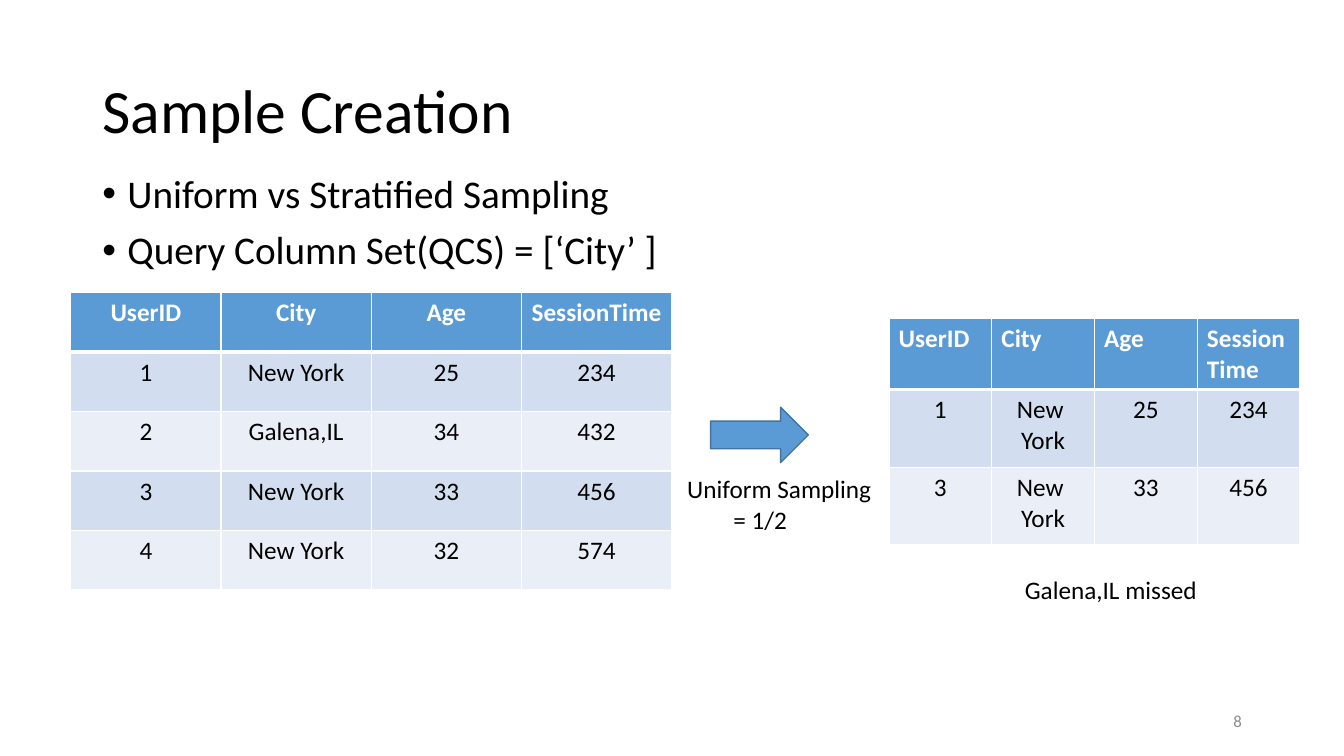
from dataclasses import dataclass, field

from lxml import etree
from pptx import Presentation
from pptx.dml.color import RGBColor
from pptx.enum.shapes import MSO_SHAPE
from pptx.enum.text import MSO_ANCHOR, MSO_AUTO_SIZE, PP_ALIGN
from pptx.oxml.ns import qn
from pptx.slide import Slide
from pptx.table import _Cell
from pptx.text.text import TextFrame, _Paragraph
from pptx.util import Pt

ARROW = MSO_SHAPE.RIGHT_ARROW
TOP, MIDDLE = MSO_ANCHOR.TOP, MSO_ANCHOR.MIDDLE
GROW, FIXED = MSO_AUTO_SIZE.SHAPE_TO_FIT_TEXT, MSO_AUTO_SIZE.NONE
LEFT, CENTER, RIGHT = PP_ALIGN.LEFT, PP_ALIGN.CENTER, PP_ALIGN.RIGHT


@dataclass(frozen=True)
class Theme:
    font: str = "Calibri"
    black: str = "000000"
    white: str = "FFFFFF"
    blue: str = "5B9BD5"
    edge: str = "43739E"
    gray: str = "8C8C8C"
    bands: tuple[str, str] = ("D2DEEF", "EAEFF7")
    title: int = 44
    body: int = 28
    text: int = 18
    small: int = 12


THEME = Theme()


@dataclass(frozen=True)
class Line:
    text: str
    size: int = THEME.text
    color: str = THEME.black
    bold: bool = False
    bullet: bool = False
    indent: float = 0
    form: dict = field(default_factory=dict)


@dataclass(frozen=True)
class Label:
    box: tuple[float, float, float, float]
    lines: list[Line]
    anchor: MSO_ANCHOR = TOP
    wrap: bool = True


@dataclass(frozen=True)
class Grid:
    left: float
    top: float
    width: float
    heights: list[float]
    align: PP_ALIGN
    rows: list[list[str]]


TIGHT = {"line_spacing": 0.9}
LABELS = [
    Label((66, 28.8, 828, 104.4),
          [Line("Sample Creation", THEME.title, form=TIGHT)], MIDDLE),
    Label((66, 121, 828, 365.8), [
        Line("Uniform vs Stratified Sampling", THEME.body, bullet=True, form=TIGHT),
        Line("Query Column Set(QCS) = [‘City’ ]", THEME.body, bullet=True,
             form=TIGHT | {"space_before": Pt(10)}),
    ]),
    Label((483.8, 334.8, 147.6, 51.1),
          [Line("Uniform Sampling"), Line("= 1/2", indent=33)], wrap=False),
    Label((725, 406.8, 139, 28.8), [Line("Galena,IL missed")], wrap=False),
    Label((678.2, 500.4, 216, 28.8),
          [Line("8", THEME.small, THEME.gray, form={"alignment": RIGHT})], MIDDLE),
]

GRIDS = [
    Grid(50.6, 209, 107.3, [42.5] * 5, CENTER, [
        ["UserID", "City", "Age", "SessionTime"],
        ["1", "New York", "25", "234"],
        ["2", "Galena,IL", "34", "432"],
        ["3", "New York", "33", "456"],
        ["4", "New York", "32", "574"],
    ]),
    Grid(635, 227.7, 73.4, [50.4, 55.6, 55.6], LEFT, [
        ["UserID", "City", "Age", "Session\nTime"],
        ["1", "New \nYork", "25", "234"],
        ["3", "New \nYork", "33", "456"],
    ]),
]


def apply(target: object, form: dict) -> None:
    for key, value in form.items():
        setattr(target, key, value)


def indent(para: _Paragraph, line: Line) -> None:
    props = para._p.get_or_add_pPr()
    if line.bullet:
        props.set("marL", str(Pt(18)))
        props.set("indent", str(-Pt(18)))
        etree.SubElement(props, qn("a:buFont"), typeface="Arial")
        etree.SubElement(props, qn("a:buChar"), char="•")
    elif line.indent:
        props.set("marL", str(Pt(line.indent)))


def write(frame: TextFrame, lines: list[Line]) -> None:
    for order, line in enumerate(lines):
        para = frame.add_paragraph() if order else frame.paragraphs[0]
        indent(para, line)
        apply(para, line.form)
        run = para.add_run()
        run.text = line.text
        apply(run.font, {"name": THEME.font, "size": Pt(line.size), "bold": line.bold})
        run.font.color.rgb = RGBColor.from_string(line.color)


def draw_label(slide: Slide, label: Label) -> None:
    frame = slide.shapes.add_textbox(*map(Pt, label.box)).text_frame
    apply(frame, {
        "word_wrap": label.wrap,
        "auto_size": FIXED if label.wrap else GROW,
        "vertical_anchor": label.anchor,
    })
    write(frame, label.lines)


def border(cell: _Cell, top: int, base: int) -> None:
    props = cell._tc.get_or_add_tcPr()
    for side, width in {"L": 1, "R": 1, "T": top, "B": base}.items():
        edge = etree.SubElement(props, qn(f"a:ln{side}"), w=str(Pt(width)))
        fill = etree.SubElement(edge, qn("a:solidFill"))
        etree.SubElement(fill, qn("a:srgbClr"), val=THEME.white)


def draw_grid(slide: Slide, grid: Grid) -> None:
    count = len(grid.rows[0])
    size = (grid.left, grid.top, grid.width * count, sum(grid.heights))
    table = slide.shapes.add_table(len(grid.rows), count, *map(Pt, size)).table
    for column in table.columns:
        column.width = Pt(grid.width)
    for row, (height, texts) in enumerate(zip(grid.heights, grid.rows)):
        table.rows[row].height = Pt(height)
        head = row == 0
        shade = THEME.blue if head else THEME.bands[(row - 1) % 2]
        color = THEME.white if head else THEME.black
        form = {"alignment": grid.align if head else CENTER}
        for col, text in enumerate(texts):
            cell = table.cell(row, col)
            apply(cell, {"margin_left": Pt(7), "margin_right": Pt(7)})
            border(cell, 3 if row == 1 else 1, 3 if head else 1)
            cell.fill.solid()
            cell.fill.fore_color.rgb = RGBColor.from_string(shade)
            write(cell.text_frame, [Line(part, color=color, bold=head, form=form)
                                    for part in text.split("\n")])


def draw_arrow(slide: Slide) -> None:
    arrow = slide.shapes.add_shape(ARROW, *map(Pt, (507.6, 290.9, 69.8, 39.6)))
    arrow.shadow.inherit = False
    arrow.fill.solid()
    arrow.fill.fore_color.rgb = RGBColor.from_string(THEME.blue)
    arrow.line.color.rgb = RGBColor.from_string(THEME.edge)
    arrow.line.width = Pt(1)


def main() -> None:
    deck = Presentation()
    apply(deck, {"slide_width": Pt(960), "slide_height": Pt(540)})
    slide = deck.slides.add_slide(deck.slide_layouts[6])
    for label in LABELS:
        draw_label(slide, label)
    for grid in GRIDS:
        draw_grid(slide, grid)
    draw_arrow(slide)
    deck.save("out.pptx")


if __name__ == "__main__":
    main()
